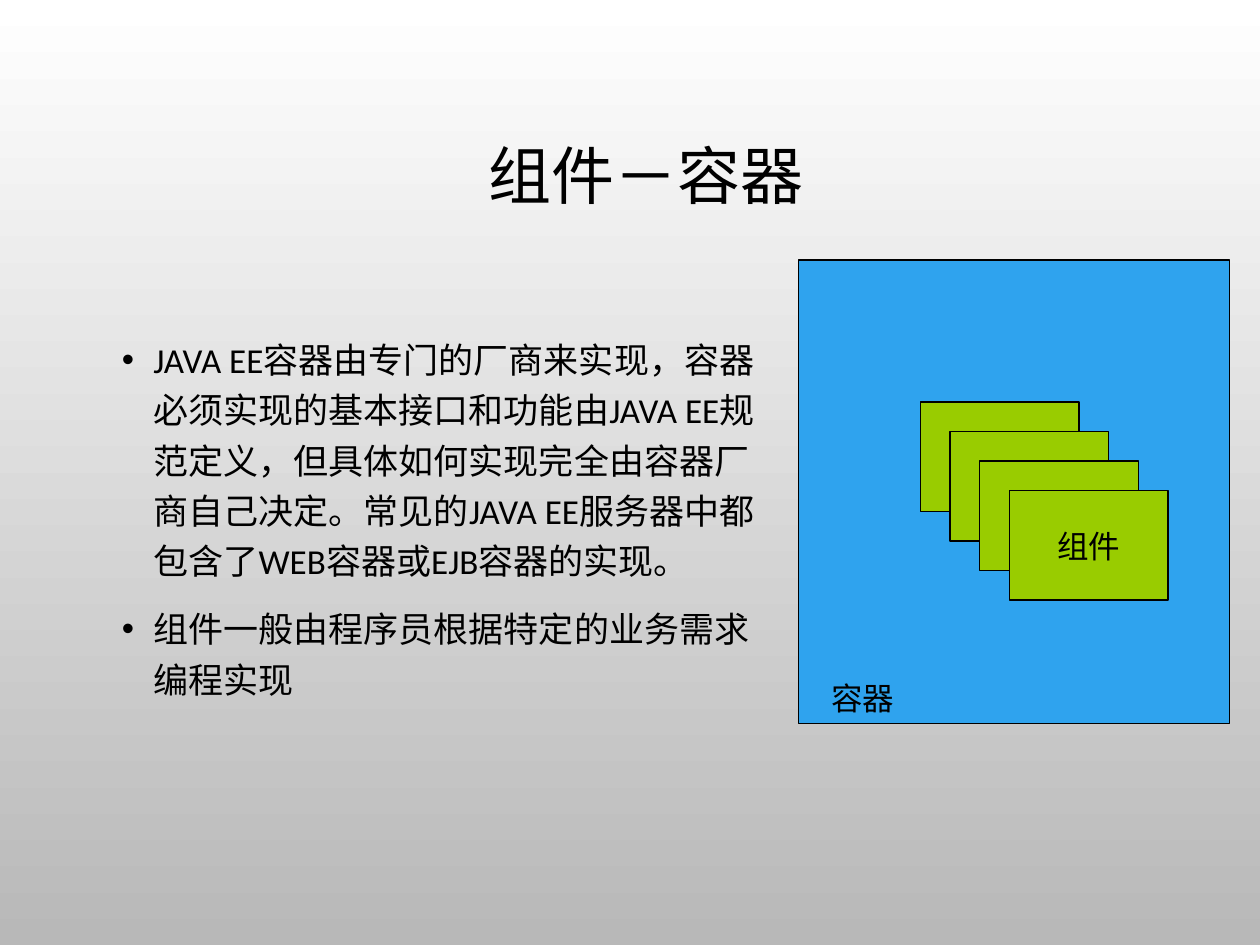
"""Build the component and container slide."""
from dataclasses import dataclass

from lxml import etree
from pptx import Presentation
from pptx.dml.color import RGBColor
from pptx.enum.shapes import MSO_SHAPE
from pptx.enum.text import MSO_ANCHOR, PP_ALIGN
from pptx.oxml.ns import qn
from pptx.util import Pt

RECTANGLE = MSO_SHAPE.RECTANGLE
MIDDLE = MSO_ANCHOR.MIDDLE
CENTER = PP_ALIGN.CENTER
BLACK = "000000"
BODY_FONT = "Calibri"
LABEL_FONT = "Times New Roman"
CARD_COUNT = 4
CARD_STEP = 16.9
BULLETS = (
    "JAVA EE容器由专门的厂商来实现，容器必须实现的基本接口和功能由JAVA EE规范定义，"
    "但具体如何实现完全由容器厂商自己决定。常见的JAVA EE服务器中都包含了WEB容器或EJB容器的实现。",
    "组件一般由程序员根据特定的业务需求编程实现",
)


@dataclass(frozen=True)
class Frame:
    left: float
    top: float
    width: float
    height: float

    def lengths(self) -> tuple:
        return Pt(self.left), Pt(self.top), Pt(self.width), Pt(self.height)


def color(value: str) -> RGBColor:
    return RGBColor.from_string(value)


def format_text(paragraph, font: str, size: float) -> None:
    for span in paragraph.runs:
        span.font.name = font
        span.font.size = Pt(size)
        span.font.color.rgb = color(BLACK)


def paint_background(page) -> None:
    fill = page.background.fill
    fill.gradient()
    fill.gradient_angle = 270
    for stop, value in zip(fill.gradient_stops, ("FFFFFF", "B8B8B8")):
        stop.color.rgb = color(value)


def set_title(page, text: str, frame: Frame) -> None:
    title = page.shapes.title
    title.left, title.top, title.width, title.height = frame.lengths()
    title.text_frame.text = text
    title.text_frame.vertical_anchor = MIDDLE
    paragraph = title.text_frame.paragraphs[0]
    paragraph.alignment = CENTER
    paragraph.line_spacing = 0.9
    format_text(paragraph, BODY_FONT, 36)


def add_rectangle(page, frame: Frame, fill: str):
    box = page.shapes.add_shape(RECTANGLE, *frame.lengths())
    box.shadow.inherit = False
    box.fill.solid()
    box.fill.fore_color.rgb = color(fill)
    box.line.color.rgb = color(BLACK)
    box.line.width = Pt(0.75)
    return box


def add_card(page, text: str, frame: Frame) -> None:
    card = add_rectangle(page, frame, "99CC00")
    card.text_frame.text = text
    card.text_frame.word_wrap = False
    card.text_frame.vertical_anchor = MIDDLE
    paragraph = card.text_frame.paragraphs[0]
    paragraph.alignment = CENTER
    format_text(paragraph, LABEL_FONT, 18)


def add_text(page, text: str, frame: Frame, font: str, size: float):
    box = page.shapes.add_textbox(*frame.lengths())
    box.text_frame.word_wrap = True
    box.text_frame.text = text
    for paragraph in box.text_frame.paragraphs:
        format_text(paragraph, font, size)
    return box


def add_bullet(paragraph) -> None:
    paragraph.line_spacing = 1.2
    paragraph.space_before = Pt(10)
    properties = paragraph._p.get_or_add_pPr()
    properties.set("marL", str(Pt(18)))
    properties.set("indent", str(-Pt(18)))
    bullet_color = etree.SubElement(properties, qn("a:buClr"))
    etree.SubElement(bullet_color, qn("a:srgbClr"), val=BLACK)
    etree.SubElement(properties, qn("a:buFont"), typeface="Arial")
    etree.SubElement(properties, qn("a:buChar"), char="•")


def main() -> None:
    deck = Presentation()
    deck.slide_width, deck.slide_height = Pt(720), Pt(540)
    page = deck.slides.add_slide(deck.slide_layouts[5])
    paint_background(page)
    set_title(page, "组件－容器", Frame(63, 57.6, 612, 89.3))
    add_rectangle(page, Frame(456.2, 148.5, 246.6, 265), "2FA3EE")
    add_text(page, "容器", Frame(468, 384.5, 159, 28.8), LABEL_FONT, 18)
    for index in range(CARD_COUNT):
        offset = index * CARD_STEP
        add_card(page, "组件", Frame(526 + offset, 229.7 + offset, 90.7, 62.6))
    body = add_text(page, "\n".join(BULLETS), Frame(62.6, 185, 378.7, 269.3), BODY_FONT, 20)
    for paragraph in body.text_frame.paragraphs:
        add_bullet(paragraph)
    deck.save("out.pptx")


if __name__ == "__main__":
    main()
